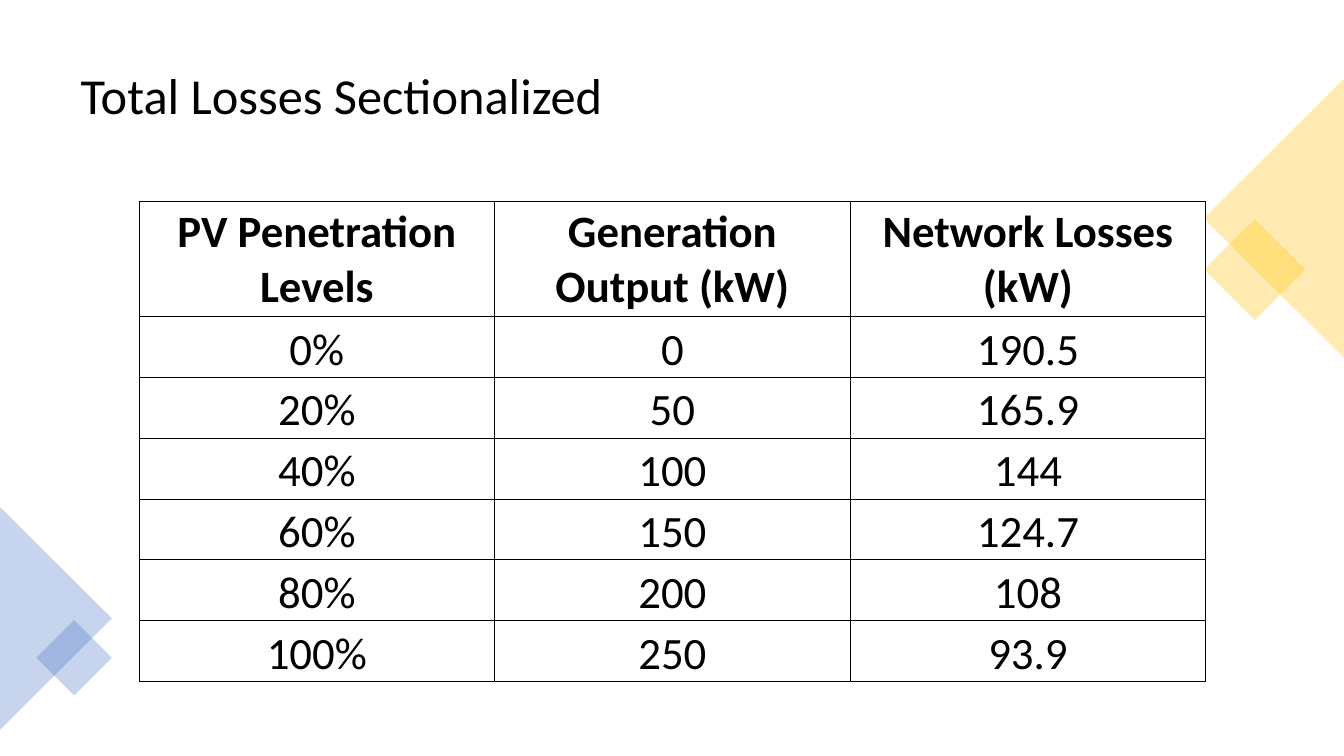
from lxml.etree import SubElement
from pptx import Presentation
from pptx.dml.color import RGBColor
from pptx.enum.shapes import MSO_SHAPE as Shape
from pptx.enum.text import MSO_ANCHOR as Anchor, PP_ALIGN as Align
from pptx.oxml.ns import qn
from pptx.util import Inches, Pt

TITLE = "Total Losses Sectionalized"
LOSSES = [
    ("PV Penetration Levels", "Generation Output (kW)", "Network Losses (kW)"),
    ("0%", "0", "190.5"),
    ("20%", "50", "165.9"),
    ("40%", "100", "144"),
    ("60%", "150", "124.7"),
    ("80%", "200", "108"),
    ("100%", "250", "93.9"),
]
GOLD, BLUE, BLACK = "FFC000", "4472C4", "000000"
CORNERS = [
    (Shape.RECTANGLE, (12.09, 2.32, 0.71, 0.71), 45, GOLD),
    (Shape.ISOSCELES_TRIANGLE, (11.25, 1.47, 2.77, 1.39), 270, GOLD),
    (Shape.ISOSCELES_TRIANGLE, (-0.55, 5.58, 2.21, 1.11), 90, BLUE),
    (Shape.RECTANGLE, (0.47, 6.26, 0.53, 0.53), 45, BLUE),
]
TITLE_BOX = (0.7, 0.35, 11.93, 1.24)
TABLE_BOX = (1.38, 2, 10.58, 4.76)
HEADER_HEIGHT = 1.14


def color(value):
    return RGBColor.from_string(value)


def inches(lengths):
    return [Inches(length) for length in lengths]


def style(para, size, align, bold=False):
    para.alignment = align
    for span in para.runs:
        span.font.name = "Calibri"
        span.font.size = Pt(size)
        span.font.bold = bold
        span.font.color.rgb = color(BLACK)


def add_title(page):
    title = page.shapes.title
    title.left, title.top, title.width, title.height = inches(TITLE_BOX)
    title.text_frame.text = TITLE
    title.text_frame.vertical_anchor = Anchor.MIDDLE
    para = title.text_frame.paragraphs[0]
    para.line_spacing = 0.9
    style(para, 36, Align.LEFT)


def add_corner(page, kind, box, turn, tint):
    corner = page.shapes.add_shape(kind, *inches(box))
    corner.rotation = turn
    corner.shadow.inherit = False
    corner.line.fill.background()
    corner.fill.solid()
    corner.fill.fore_color.rgb = color(tint)
    tone = corner.fill._xPr.find(".//" + qn("a:srgbClr"))
    SubElement(tone, qn("a:alpha"), val="30000")


def outline(cell):
    props = cell._tc.get_or_add_tcPr()
    for side in ("a:lnL", "a:lnR", "a:lnT", "a:lnB"):
        line = SubElement(props, qn(side), w=str(Pt(0.5)))
        fill = SubElement(line, qn("a:solidFill"))
        SubElement(fill, qn("a:srgbClr"), val=BLACK)


def add_losses(page):
    left, top, width, height = TABLE_BOX
    rows, columns = len(LOSSES), len(LOSSES[0])
    table = page.shapes.add_table(rows, columns, *inches(TABLE_BOX)).table
    table.horz_banding = False
    for column in table.columns:
        column.width = Inches(width / columns)
    for index, row in enumerate(table.rows):
        header = index == 0
        body_height = (height - HEADER_HEIGHT) / (rows - 1)
        row.height = Inches(HEADER_HEIGHT if header else body_height)
        for cell, words in zip(row.cells, LOSSES[index]):
            cell.text_frame.text = words
            cell.margin_left = cell.margin_right = cell.margin_top = Inches(0.02)
            cell.margin_bottom = 0
            cell.vertical_anchor = Anchor.MIDDLE if header else Anchor.BOTTOM
            style(cell.text_frame.paragraphs[0], 32, Align.CENTER, header)
            outline(cell)
            cell.fill.background()


def main():
    deck = Presentation()
    deck.slide_width, deck.slide_height = inches((13.33, 7.5))
    page = deck.slides.add_slide(deck.slide_layouts[5])
    add_title(page)
    for corner in CORNERS:
        add_corner(page, *corner)
    add_losses(page)
    deck.save("out.pptx")


if __name__ == "__main__":
    main()
